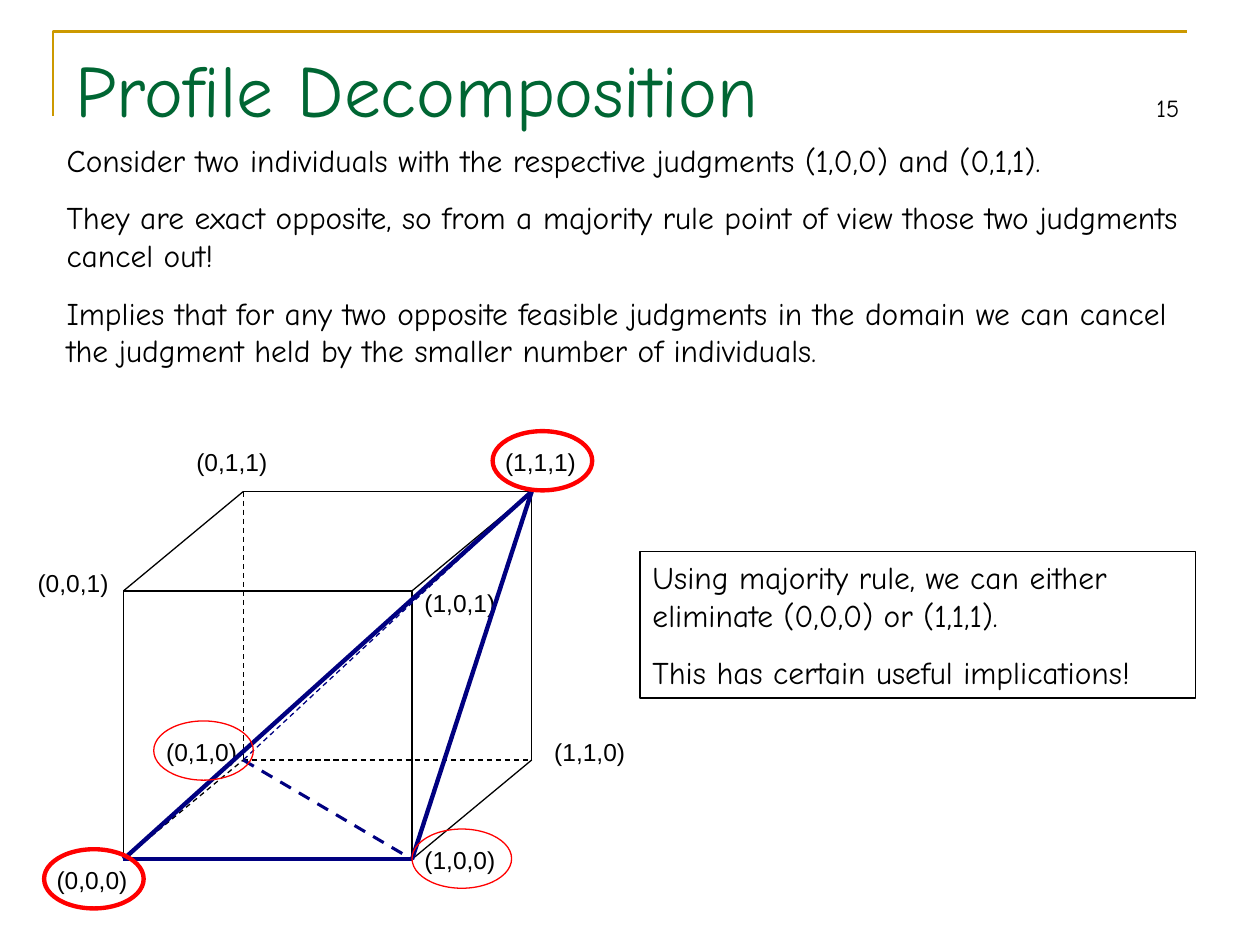
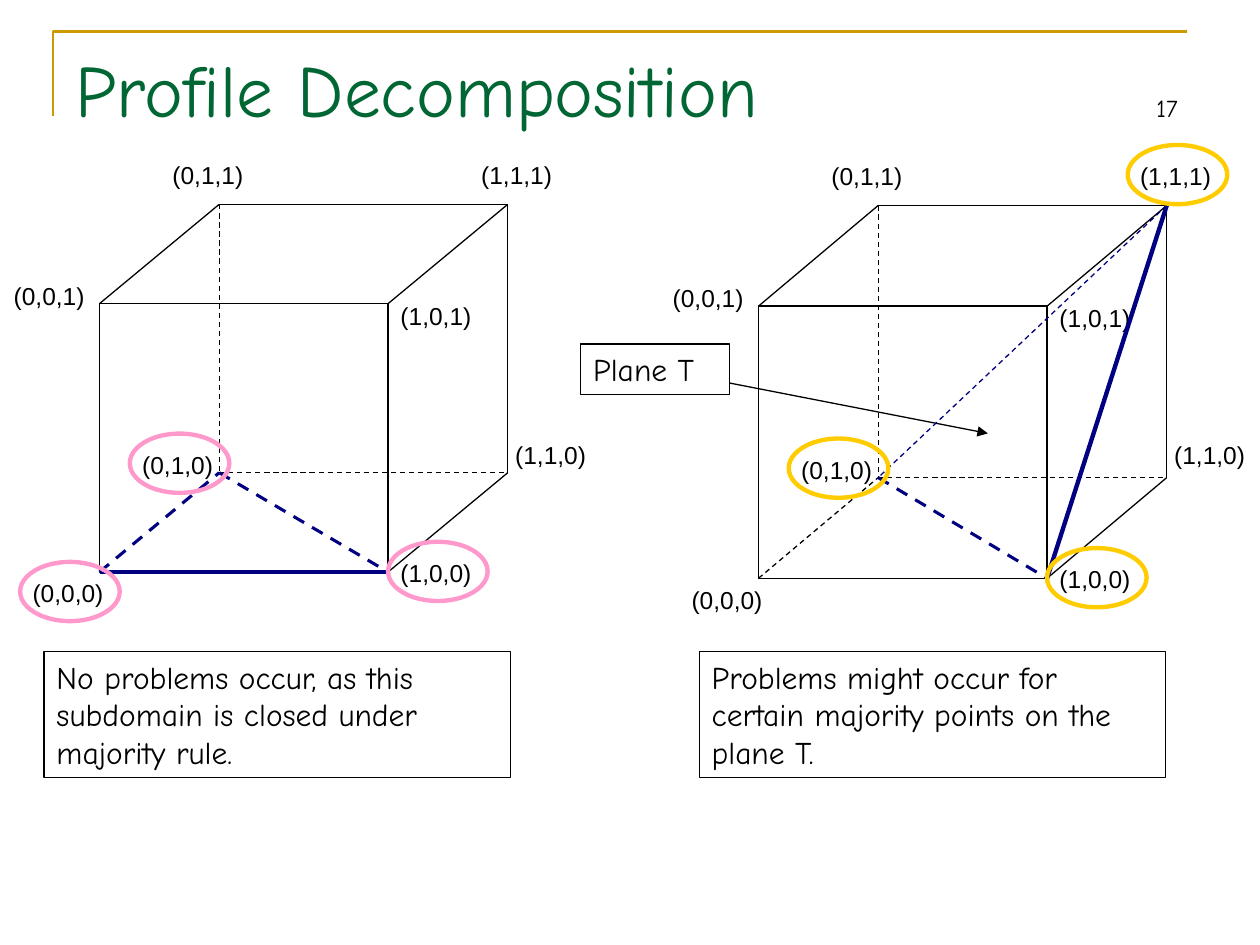
import pptx
import pptx.util
import pptx.dml.color
import pptx.enum.dml
import pptx.enum.shapes
import pptx.enum.text
import pptx.oxml.ns
import lxml.etree

Inches = pptx.util.Inches
Pt = pptx.util.Pt
SHAPE = pptx.enum.shapes.MSO_SHAPE

COLORS = {
    "title": "006633", "frame": "CC9900", "ink": "000000", "navy": "000080",
    "red": "FF0000", "pink": "FF99CC", "gold": "FFCC00",
}
TITLE = "Profile Decomposition"
BODY_FONT, LABEL_FONT = "Comic Neue", "Arial"
THIN, MEDIUM, THICK = 0.75, 1.75, 2.5

FRONT_WIDTH, DEPTH_X, DEPTH_RATIO = 2.29, 0.95, 0.37
LABEL_WIDTH, LABEL_HEIGHT, RING_HEIGHT, RING_RISE = 0.79, 0.34, 0.47, 0.08
LABEL_OFFSETS = {
    "000": (-0.63, 0), "100": (0, -0.16), "001": (-0.78, -0.23), "101": (0, -0.07),
    "010": (-0.71, -0.23), "011": (-0.47, -0.4), "111": (-0.31, -0.4),
}
SOLID_EDGES = ["001-011", "101-111", "100-110", "011-111", "111-110"]
HIDDEN_EDGES = ["000-010", "011-010", "010-110"]

SLIDES = [
    {
        "number": "15",
        "texts": [
            {"at": (0.43, 1.07, 9.14, 1.92), "boxed": False, "text": [
                "Consider two individuals with the respective judgments (1,0,0) and (0,1,1).",
                "They are exact opposite, so from a majority rule point of view those two "
                "judgments cancel out!",
                "Implies that for any two opposite feasible judgments in the domain we can "
                "cancel the judgment held by the smaller number of individuals."]},
            {"at": (5.08, 4.38, 4.41, 1.16), "boxed": True, "text": [
                "Using majority rule, we can either eliminate (0,0,0) or (1,1,1).",
                "This has certain useful implications!"]},
        ],
        "arrows": [],
        "cubes": [
            {"at": (0.98, 4.69), "height": 2.13, "label_110": (0.08, -0.23),
             "ring_color": "red",
             "rings": {"010": THIN, "100": THIN, "000": THICK, "111": THICK},
             "highlights": [("111-000", THICK, False), ("111-010", THIN, True),
                            ("111-100", THICK, False), ("010-100", MEDIUM, True),
                            ("000-100", THICK, False)]},
        ],
    },
    {
        "number": "17",
        "texts": [
            {"at": (0.35, 5.17, 3.7, 1), "boxed": True, "text": [
                "No problems occur, as this subdomain is closed under majority rule."]},
            {"at": (5.55, 5.17, 3.7, 1), "boxed": True, "text": [
                "Problems might occur for certain majority points on the plane T."]},
            {"at": (4.61, 2.73, 1.18, 0.4), "boxed": True, "text": ["Plane T"]},
        ],
        "arrows": [((5.79, 3.04), (7.84, 3.44))],
        "cubes": [
            {"at": (0.79, 2.41), "height": 2.13, "label_110": (-0.04, -0.31),
             "ring_color": "pink",
             "rings": {"010": THICK, "100": THICK, "000": THICK},
             "highlights": [("000-010", MEDIUM, True), ("010-100", MEDIUM, True),
                            ("000-100", THICK, False)]},
            {"at": (6.02, 2.43), "height": 2.16, "label_110": (-0.04, -0.35),
             "ring_color": "gold",
             "rings": {"010": THICK, "100": THICK, "111": THICK},
             "highlights": [("111-010", THIN, True), ("111-100", THICK, False),
                            ("010-100", MEDIUM, True)]},
        ],
    },
]


def rgb(name):
    return pptx.dml.color.RGBColor.from_string(COLORS[name])


def style_line(line, color="ink", width=THIN, dashed=False):
    line.color.rgb = rgb(color)
    line.width = Pt(width)
    if dashed:
        line.dash_style = pptx.enum.dml.MSO_LINE.DASH


def add_outline(shapes, kind, at, color="ink", width=THIN):
    sp = shapes.add_shape(kind, *map(Inches, at))
    sp.shadow.inherit = False
    sp.fill.background()
    style_line(sp.line, color, width)
    return sp


def add_line(shapes, start, end, color="ink", width=THIN, dashed=False, arrow=False):
    cx = shapes.add_connector(pptx.enum.shapes.MSO_CONNECTOR.STRAIGHT,
                              *map(Inches, (*start, *end)))
    style_line(cx.line, color, width, dashed)
    qn = pptx.oxml.ns.qn
    if arrow:
        lxml.etree.SubElement(cx.line._get_or_add_ln(), qn("a:tailEnd"), type="triangle")
    lxml.etree.SubElement(cx._element.spPr, qn("a:effectLst"))


def add_text(shapes, text, at, size=18, font=BODY_FONT, color="ink", boxed=False):
    if boxed:
        sp = add_outline(shapes, SHAPE.RECTANGLE, at)
    else:
        sp = shapes.add_textbox(*map(Inches, at))
    tf = sp.text_frame
    tf.word_wrap = True
    tf.vertical_anchor = pptx.enum.text.MSO_ANCHOR.TOP
    for i, line in enumerate(text):
        p = tf.paragraphs[0] if i == 0 else tf.add_paragraph()
        p.alignment = pptx.enum.text.PP_ALIGN.LEFT
        if i:
            p.space_before = Pt(11.2)
        r = p.add_run()
        r.text = line
        r.font.size = Pt(size)
        r.font.name = font
        r.font.color.rgb = rgb(color)


def add_header(shapes, number):
    fb = shapes.build_freeform(Inches(0.42), Inches(0.92))
    fb.add_line_segments([(Inches(0.42), Inches(0.25)), (Inches(9.42), Inches(0.25))],
                         close=False)
    frame = fb.convert_to_shape()
    frame.shadow.inherit = False
    frame.fill.background()
    style_line(frame.line, "frame", 1.5)
    add_text(shapes, [TITLE], (0.5, 0.3, 8.3, 0.85), size=42, color="title")
    add_text(shapes, [number], (9.08, 0.69, 0.5, 0.34), size=14)


def add_cube(shapes, cube):
    left, top = cube["at"]
    height = cube["height"]

    def vertex(name):
        a, b, c = map(int, name)
        return (left + FRONT_WIDTH * a + DEPTH_X * b,
                top + height * (1 - c) - DEPTH_RATIO * height * b)

    def edge(name, **style):
        add_line(shapes, *map(vertex, name.split("-")), **style)

    highlighted = [name for name, _, _ in cube["highlights"]]
    add_outline(shapes, SHAPE.RECTANGLE, (left, top, FRONT_WIDTH, height))
    for name in SOLID_EDGES:
        edge(name)
    for name in HIDDEN_EDGES:
        if name not in highlighted:
            edge(name, dashed=True)

    places = {}
    for name, (dx, dy) in {**LABEL_OFFSETS, "110": cube["label_110"]}.items():
        x, y = vertex(name)
        places[name] = (x + dx, y + dy)
        add_text(shapes, [f"({','.join(name)})"],
                 (*places[name], LABEL_WIDTH, LABEL_HEIGHT), size=14, font=LABEL_FONT)
    for name, width, dashed in cube["highlights"]:
        edge(name, color="navy", width=width, dashed=dashed)
    for name, width in cube["rings"].items():
        x, y = places[name]
        add_outline(shapes, SHAPE.OVAL, (x, y - RING_RISE, LABEL_WIDTH, RING_HEIGHT),
                    cube["ring_color"], width)


def main():
    prs = pptx.Presentation()
    prs.slide_width, prs.slide_height = Inches(10), Inches(7.5)
    for content in SLIDES:
        shapes = prs.slides.add_slide(prs.slide_layouts[6]).shapes
        add_header(shapes, content["number"])
        for item in content["texts"]:
            add_text(shapes, **item)
        for start, end in content["arrows"]:
            add_line(shapes, start, end, arrow=True)
        for cube in content["cubes"]:
            add_cube(shapes.add_group_shape().shapes, cube)
    prs.save("out.pptx")


if __name__ == "__main__":
    main()
